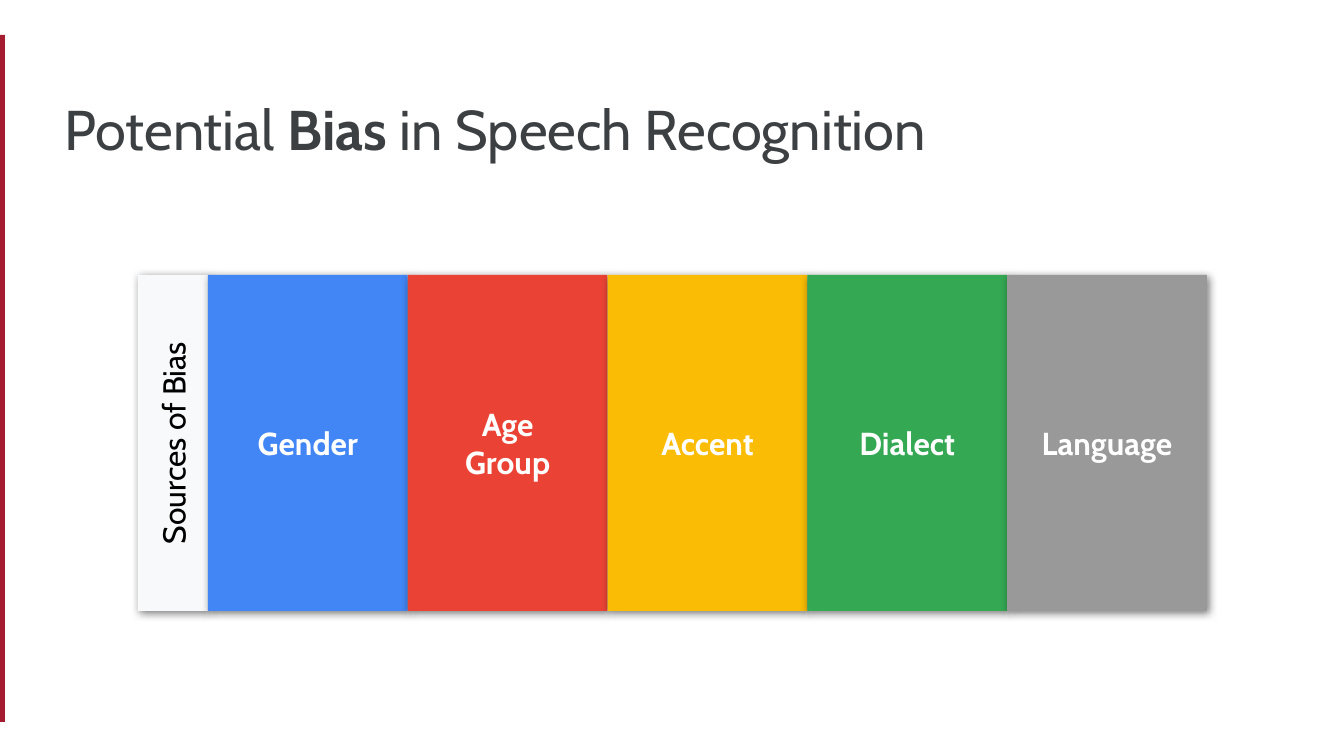
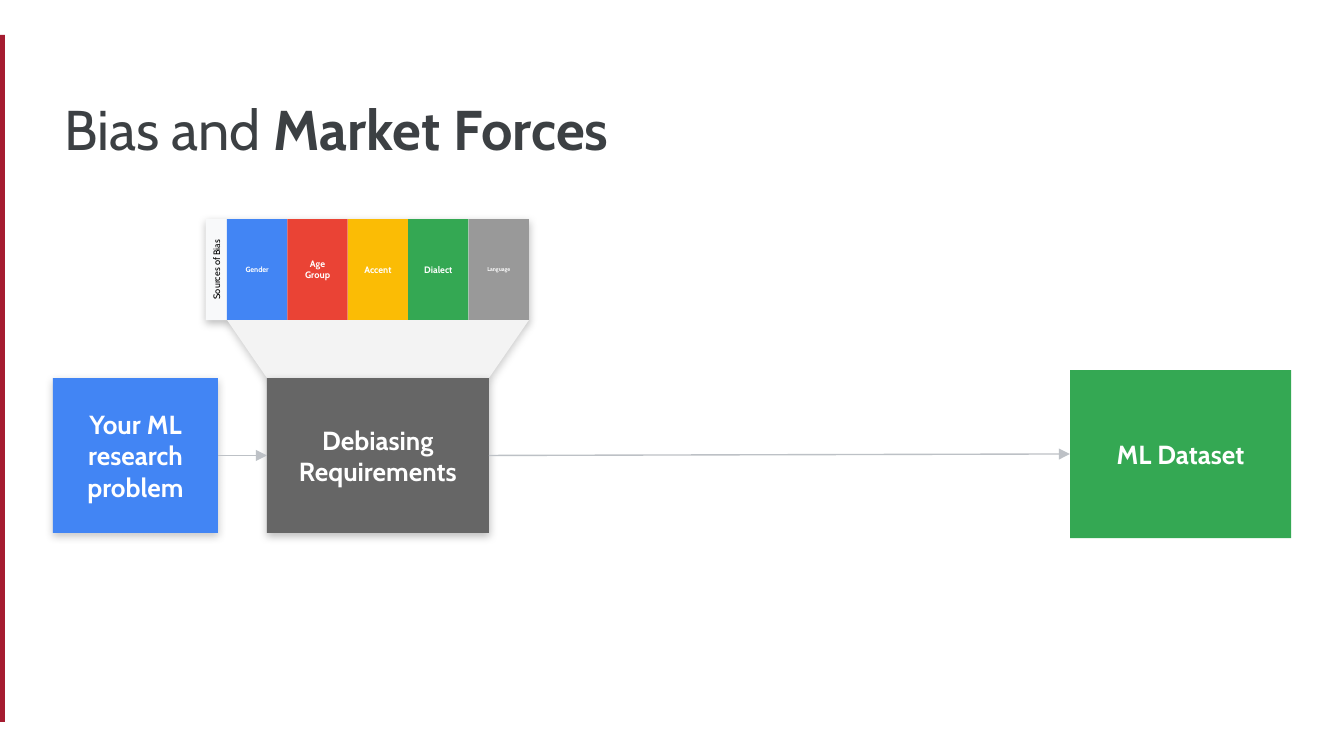
import pptx
import pptx.dml.color
import pptx.enum.shapes
import pptx.enum.text
import pptx.oxml
import pptx.oxml.ns
import pptx.util
from lxml import etree

RGB = pptx.dml.color.RGBColor
SHAPE = pptx.enum.shapes.MSO_SHAPE
ALIGN = pptx.enum.text.PP_ALIGN
ANCHOR = pptx.enum.text.MSO_ANCHOR
qn = pptx.oxml.ns.qn

CRIMSON = RGB(0xA5, 0x1C, 0x30)
INK = RGB(0x3C, 0x40, 0x43)
BLACK = RGB(0, 0, 0)
WHITE = RGB(0xFF, 0xFF, 0xFF)
PALE = RGB(0xF8, 0xF9, 0xFA)
FUNNEL = RGB(0xF3, 0xF3, 0xF3)
BLUE = RGB(0x42, 0x85, 0xF4)
RED = RGB(0xEA, 0x43, 0x35)
YELLOW = RGB(0xFB, 0xBC, 0x05)
GREEN = RGB(0x34, 0xA8, 0x53)
GRAY = RGB(0x99, 0x99, 0x99)
DARK = RGB(0x66, 0x66, 0x66)
ARROW = RGB(0xBD, 0xC1, 0xC6)
FONT = "Cabin"

# Content: title runs are (text, bold), boxes hold a list of paragraphs
TITLE_SPEECH = [("Potential ", False), ("Bias", True),
                (" in Speech Recognition", False)]
TITLE_MARKET = [("Bias and ", False), ("Market Forces", True)]
STRIP_LABEL = ["Sources of Bias"]
SOURCES = [
    (["Gender"], BLUE),
    (["Age", "Group"], RED),
    (["Accent"], YELLOW),
    (["Dialect"], GREEN),
    (["Language"], GRAY),
]
# Steps: lines, colour, (left, top, width, height), shadow opacity
DATASET = (["ML Dataset"], GREEN, (1070, 370, 221, 168), None)
PROBLEM = (["Your ML research problem"], BLUE, (53, 378, 165, 155), 22)
DEBIASING = (["Debiasing", "Requirements"], DARK, (267, 378, 222, 155), 26)

# Strips: left, top, label width, width of all columns, height
LARGE_STRIP = (138, 275, 70, 999, 336)
SMALL_STRIP = (206, 219, 21, 302, 101)


def px(n):
    return pptx.util.Emu(round(n * 914400 / 134.4))


def add_shadow(sp, opacity, angle):
    effects = etree.SubElement(sp._element.spPr, qn("a:effectLst"))
    shadow = etree.SubElement(
        effects, qn("a:outerShdw"), blurRad=str(pptx.util.Pt(4.5)),
        dist=str(pptx.util.Pt(1.5)), dir=str(angle * 60000),
        algn="bl", rotWithShape="0")
    color = etree.SubElement(shadow, qn("a:srgbClr"), val="000000")
    etree.SubElement(color, qn("a:alpha"), val=str(opacity * 1000))


def style(sp, fill, opacity=None, angle=90):
    sp.fill.solid()
    sp.fill.fore_color.rgb = fill
    sp.line.fill.background()
    if opacity:
        add_shadow(sp, opacity, angle)
    else:
        sp.shadow.inherit = False


def add_run(p, text, size, color, bold):
    r = p.add_run()
    r.text = text
    r.font.name = FONT
    r.font.size = pptx.util.Pt(size)
    r.font.bold = bold
    r.font.color.rgb = color


def set_frame(tf, anchor):
    tf.word_wrap = True
    tf.vertical_anchor = anchor
    tf.margin_left = tf.margin_right = pptx.util.Inches(0.1)
    tf.margin_top = tf.margin_bottom = pptx.util.Inches(0.1)


def add_box(s, rect, fill, lines=(), size=14, color=WHITE, bold=True,
            opacity=None, angle=90, kind=SHAPE.RECTANGLE):
    sp = s.shapes.add_shape(kind, *map(px, rect))
    style(sp, fill, opacity, angle)
    tf = sp.text_frame
    set_frame(tf, ANCHOR.MIDDLE)
    for i, line in enumerate(lines):
        p = tf.add_paragraph() if i else tf.paragraphs[0]
        p.alignment = ALIGN.CENTER
        add_run(p, line, size, color, bold)
    return sp


def add_step(s, step):
    lines, fill, rect, opacity = step
    sp = add_box(s, rect, fill, lines, opacity=opacity,
                 kind=SHAPE.ROUNDED_RECTANGLE)
    sp.adjustments[0] = 0
    return sp


def add_strip(s, place, label_size, sizes, opacity=None):
    left, top, label_w, columns_w, height = place
    # The label is laid out flat around its centre, then turned upright
    flat = (left + (label_w - height) / 2, top + (height - label_w) / 2,
            height, label_w)
    label = add_box(s, flat, PALE, STRIP_LABEL, label_size, BLACK, False,
                    opacity, 45)
    label.rotation = 270
    column_w = columns_w / len(SOURCES)
    for i, ((lines, fill), size) in enumerate(zip(SOURCES, sizes)):
        rect = (left + label_w + i * column_w, top, column_w, height)
        add_box(s, rect, fill, lines, size, opacity=opacity, angle=45)


def add_arrow(s, start, end):
    c = s.shapes.add_connector(
        pptx.enum.shapes.MSO_CONNECTOR.STRAIGHT, 0, 0, 0, 0)
    c.begin_connect(start, 3)
    c.end_connect(end, 1)
    c.line.color.rgb = ARROW
    c.line.width = pptx.util.Pt(0.75)
    etree.SubElement(c.line._get_or_add_ln(), qn("a:tailEnd"),
                     type="triangle")
    etree.SubElement(c._element.spPr, qn("a:effectLst"))


def add_title(s, runs):
    tf = s.shapes.add_textbox(*map(px, (51, 89, 1146, 79))).text_frame
    set_frame(tf, ANCHOR.TOP)
    p = tf.paragraphs[0]
    p.line_spacing = 0.9
    for text, bold in runs:
        add_run(p, text, 30, INK, bold)


def new_slide(prs):
    s = prs.slides.add_slide(prs.slide_layouts[6])
    add_box(s, (-3, 35, 8, 687), CRIMSON)
    return s


def build_speech_bias(prs):
    s = new_slide(prs)
    add_title(s, TITLE_SPEECH)
    add_strip(s, LARGE_STRIP, 17, [17] * len(SOURCES), opacity=50)


def build_market_forces(prs):
    s = new_slide(prs)
    left, top, label_w, columns_w, height = SMALL_STRIP
    right, bottom = left + label_w + columns_w, top + height
    add_box(s, (left, top, right - left, height), PALE, opacity=25)
    add_title(s, TITLE_MARKET)
    dataset = add_step(s, DATASET)
    problem = add_step(s, PROBLEM)

    # Funnel from the strip's columns down to the debiasing box
    x, y, w, h = DEBIASING[2]
    outline = s.shapes.build_freeform(px(left + label_w), px(bottom))
    outline.add_line_segments(
        [(px(x), px(y)), (px(x + w), px(y)), (px(right), px(bottom))])
    style(outline.convert_to_shape(), FUNNEL, 20)

    debiasing = add_step(s, DEBIASING)
    add_strip(s, SMALL_STRIP, 5, [4, 5, 5, 5, 3])
    add_arrow(s, problem, debiasing)
    add_arrow(s, debiasing, dataset)


def main():
    prs = pptx.Presentation()
    prs.slide_width, prs.slide_height = px(1344), px(756)
    build_speech_bias(prs)
    build_market_forces(prs)
    prs.save("out.pptx")


if __name__ == "__main__":
    main()
